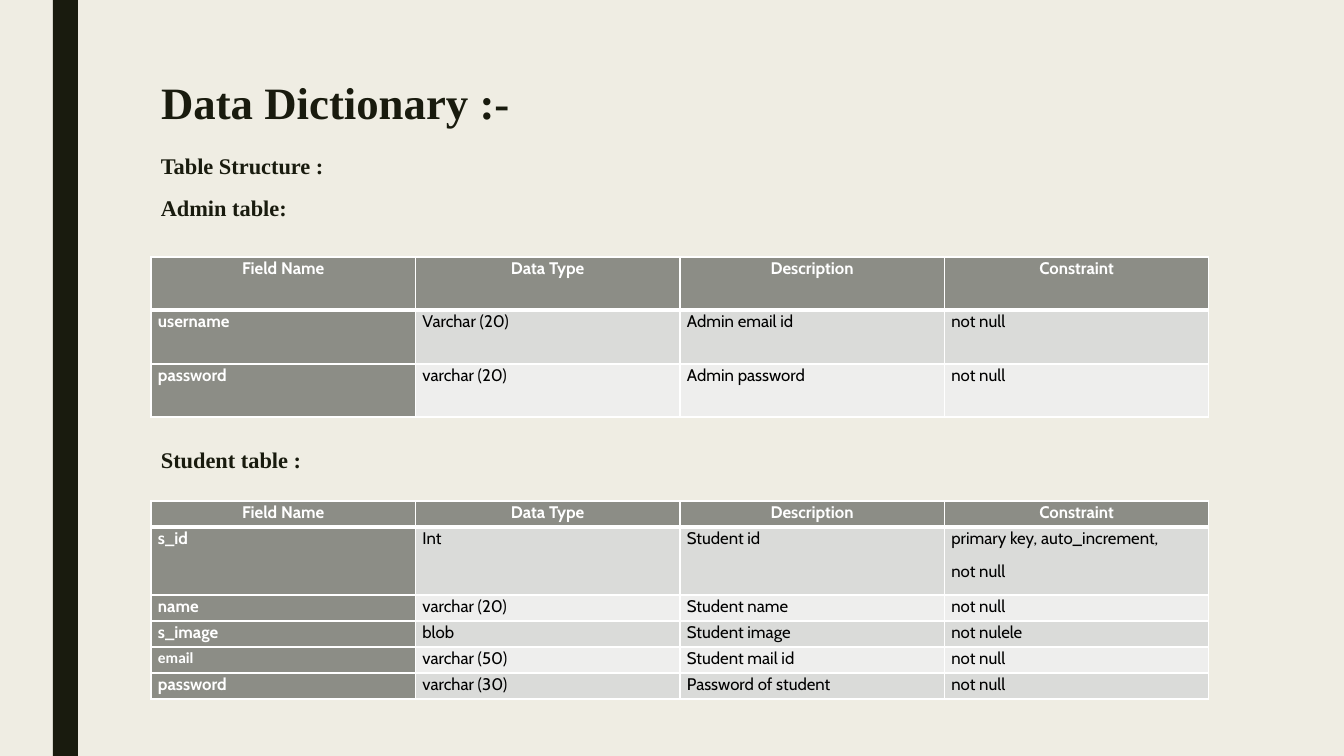
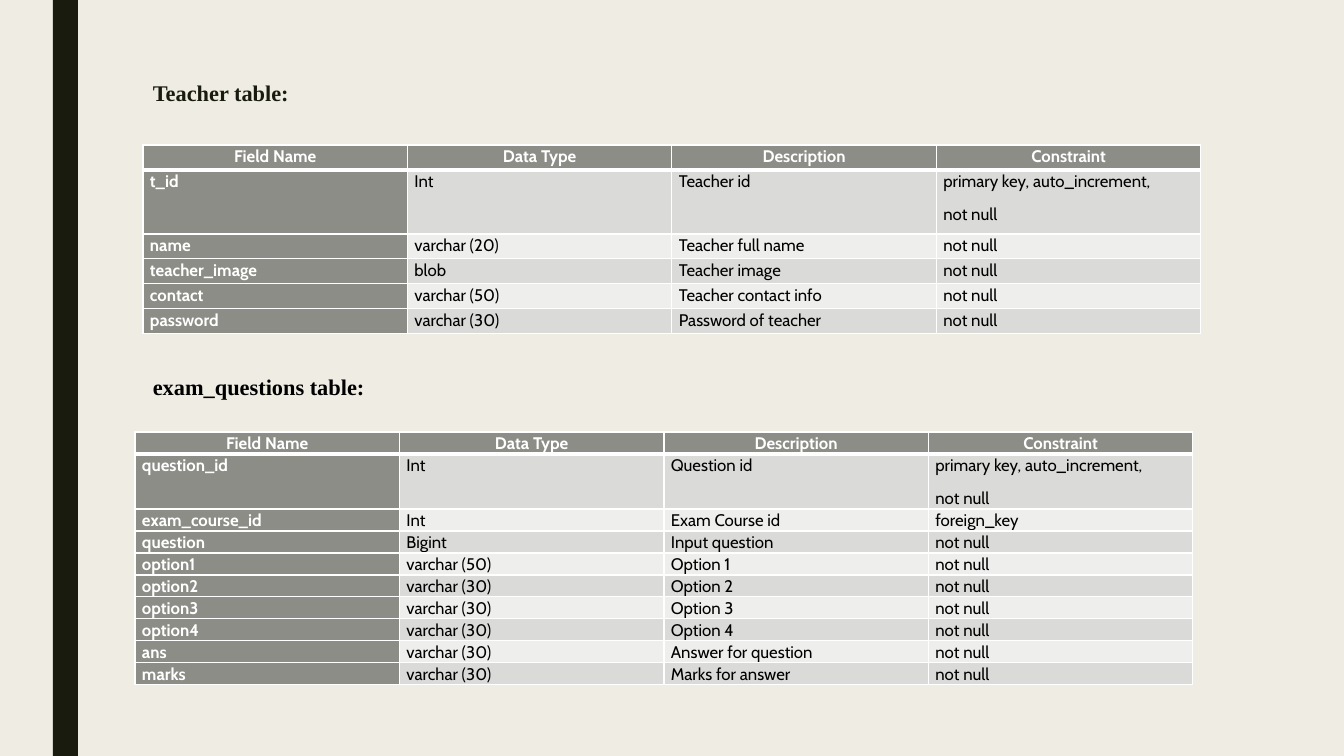
from pptx import Presentation
from pptx.dml.color import RGBColor
from pptx.enum.shapes import MSO_SHAPE
from pptx.enum.text import MSO_ANCHOR, MSO_AUTO_SIZE, PP_ALIGN
from pptx.oxml.ns import qn
from pptx.util import Pt
from lxml import etree

CREAM = RGBColor(0xEF, 0xED, 0xE3)
INK = RGBColor(0x19, 0x1B, 0x0E)
BLACK = RGBColor(0x00, 0x00, 0x00)
WHITE = RGBColor(0xFF, 0xFF, 0xFF)
HEADER_GREY = RGBColor(0x8C, 0x8D, 0x86)
BAND_GREYS = (RGBColor(0xDA, 0xDB, 0xD9), RGBColor(0xEE, 0xEE, 0xED))

SERIF, SANS, FALLBACK_SANS = "Times New Roman", "Cabin", "Calibri"
TITLE_ONLY, BLANK = 5, 6
WIDTH, HEIGHT = 1344, 756
CONTENT_WIDTH = 1058

COLUMNS = ("Field Name", "Data Type", "Description", "Constraint")
KEY = "primary key, auto_increment,\nnot null"

ADMIN = (
    ("username", "Varchar (20)", "Admin email id", "not null"),
    ("password", "varchar (20)", "Admin password", "not null"),
)
STUDENT = (
    ("s_id", "Int", "Student id", KEY),
    ("name", "varchar (20)", "Student name", "not null"),
    ("s_image", "blob", "Student image", "not nulele"),
    ("email", "varchar (50)", "Student mail id", "not null"),
    ("password", "varchar (30)", "Password of student", "not null"),
)
TEACHER = (
    ("t_id", "Int", "Teacher id", KEY),
    ("name", "varchar (20)", "Teacher full name", "not null"),
    ("teacher_image", "blob", "Teacher image", "not null"),
    ("contact", "varchar (50)", "Teacher contact info", "not null"),
    ("password", "varchar (30)", "Password of teacher", "not null"),
)
EXAM_QUESTIONS = (
    ("question_id", "Int", "Question id", KEY),
    ("exam_course_id", "Int", "Exam Course id", "foreign_key"),
    ("question", "Bigint", "Input question", "not null"),
    ("option1", "varchar (50)", "Option 1", "not null"),
    ("option2", "varchar (30)", "Option 2", "not null"),
    ("option3", "varchar (30)", "Option 3", "not null"),
    ("option4", "varchar (30)", "Option 4", "not null"),
    ("ans", "varchar (30)", "Answer for question", "not null"),
    ("marks", "varchar (30)", "Marks for answer", "not null"),
)


def px(length):
    return round(length * 914400 / 100.8)


def set_borders(cell, **points):
    """Draw white cell borders; points maps L, R, T and B to widths."""
    properties = cell._tc.get_or_add_tcPr()
    for side, width in points.items():
        line = etree.SubElement(properties, qn(f"a:ln{side}"), w=str(Pt(width)))
        fill = etree.SubElement(line, qn("a:solidFill"))
        etree.SubElement(fill, qn("a:srgbClr"), val=str(WHITE))


class Deck:
    """Holds the shared style and the slide being filled."""

    def __init__(self):
        self.presentation = Presentation()
        self.presentation.slide_width = px(WIDTH)
        self.presentation.slide_height = px(HEIGHT)
        background = self.presentation.slide_master.background.fill
        background.solid()
        background.fore_color.rgb = CREAM
        self.slide = None

    def new_slide(self, layout):
        layouts = self.presentation.slide_layouts
        self.slide = self.presentation.slides.add_slide(layouts[layout])
        side_band = self.slide.shapes.add_shape(
            MSO_SHAPE.RECTANGLE, px(53), 0, px(25), px(HEIGHT))
        side_band.shadow.inherit = False
        side_band.fill.solid()
        side_band.fill.fore_color.rgb = INK
        side_band.line.fill.background()

    def add_line(self, paragraph, text, font, size, color, bold=True,
                 spacing=1.0, before=0, after=0, align=PP_ALIGN.LEFT):
        paragraph.alignment = align
        paragraph.line_spacing = spacing
        paragraph.space_before, paragraph.space_after = Pt(before), Pt(after)
        run = paragraph.add_run()
        run.text = text
        run.font.name, run.font.size = font, Pt(size)
        run.font.bold, run.font.color.rgb = bold, color

    def title(self, text):
        title = self.slide.shapes.title
        title.left, title.top = px(151), px(76)
        title.width, title.height = px(CONTENT_WIDTH), px(74)
        frame = title.text_frame
        frame.auto_size = MSO_AUTO_SIZE.NONE
        frame.vertical_anchor = MSO_ANCHOR.TOP
        self.add_line(frame.paragraphs[0], text, SERIF, 32, INK, spacing=0.89)

    def headings(self, left, top, *lines, color=INK):
        box = self.slide.shapes.add_textbox(
            px(left), px(top), px(CONTENT_WIDTH), px(42 * len(lines)))
        frame = box.text_frame
        frame.word_wrap = True
        for index, line in enumerate(lines):
            paragraph = frame.add_paragraph() if index else frame.paragraphs[0]
            self.add_line(paragraph, line, SERIF, 16, color,
                          spacing=0.94, before=10, after=2)

    def field_table(self, left, top, row_height, first_field_height, fields,
                    fallback_fields=()):
        """Add a table of fields; fallback_fields are named in the smaller font."""
        rows = (COLUMNS, *fields)
        heights = [row_height] * len(rows)
        heights[1] = first_field_height
        table = self.slide.shapes.add_table(
            len(rows), len(COLUMNS), px(left), px(top),
            px(CONTENT_WIDTH), px(sum(heights))).table
        for column in table.columns:
            column.width = px(CONTENT_WIDTH) // len(COLUMNS)
        for r, (row, height) in enumerate(zip(rows, heights)):
            table.rows[r].height = px(height)
            for c, text in enumerate(row):
                self.field_cell(table.cell(r, c), r, c, text,
                                text in fallback_fields)

    def field_cell(self, cell, row, column, text, fallback):
        is_header = row == 0
        is_label = is_header or column == 0
        set_borders(cell, L=1, R=1, T=3 if row == 1 else 1, B=3 if is_header else 1)
        cell.fill.solid()
        cell.fill.fore_color.rgb = (
            HEADER_GREY if is_label else BAND_GREYS[(row - 1) % 2])
        cell.margin_left = cell.margin_right = px(7)
        cell.margin_top = cell.margin_bottom = 0
        cell.vertical_anchor = MSO_ANCHOR.TOP
        frame = cell.text_frame
        for index, line in enumerate(text.split("\n")):
            paragraph = frame.add_paragraph() if index else frame.paragraphs[0]
            self.add_line(paragraph, line,
                          FALLBACK_SANS if fallback else SANS,
                          11 if fallback else 12,
                          WHITE if is_label else BLACK, bold=is_label,
                          spacing=1.07, after=8,
                          align=PP_ALIGN.CENTER if is_header else PP_ALIGN.LEFT)


def main():
    deck = Deck()

    deck.new_slide(TITLE_ONLY)
    deck.title("Data Dictionary :-")
    deck.headings(151, 149, "Table Structure :", "Admin table:")
    deck.field_table(151, 257, 53, 54, ADMIN)
    deck.headings(151, 443, "Student table :")
    deck.field_table(151, 501, 26, 68, STUDENT, fallback_fields=("email",))

    deck.new_slide(BLANK)
    deck.headings(143, 76, "Teacher table:")
    deck.field_table(143, 145, 25, 64, TEACHER)
    deck.headings(143, 370, "exam_questions table:", color=BLACK)
    deck.field_table(135, 432, 22, 55, EXAM_QUESTIONS)

    deck.presentation.save("out.pptx")


if __name__ == "__main__":
    main()
